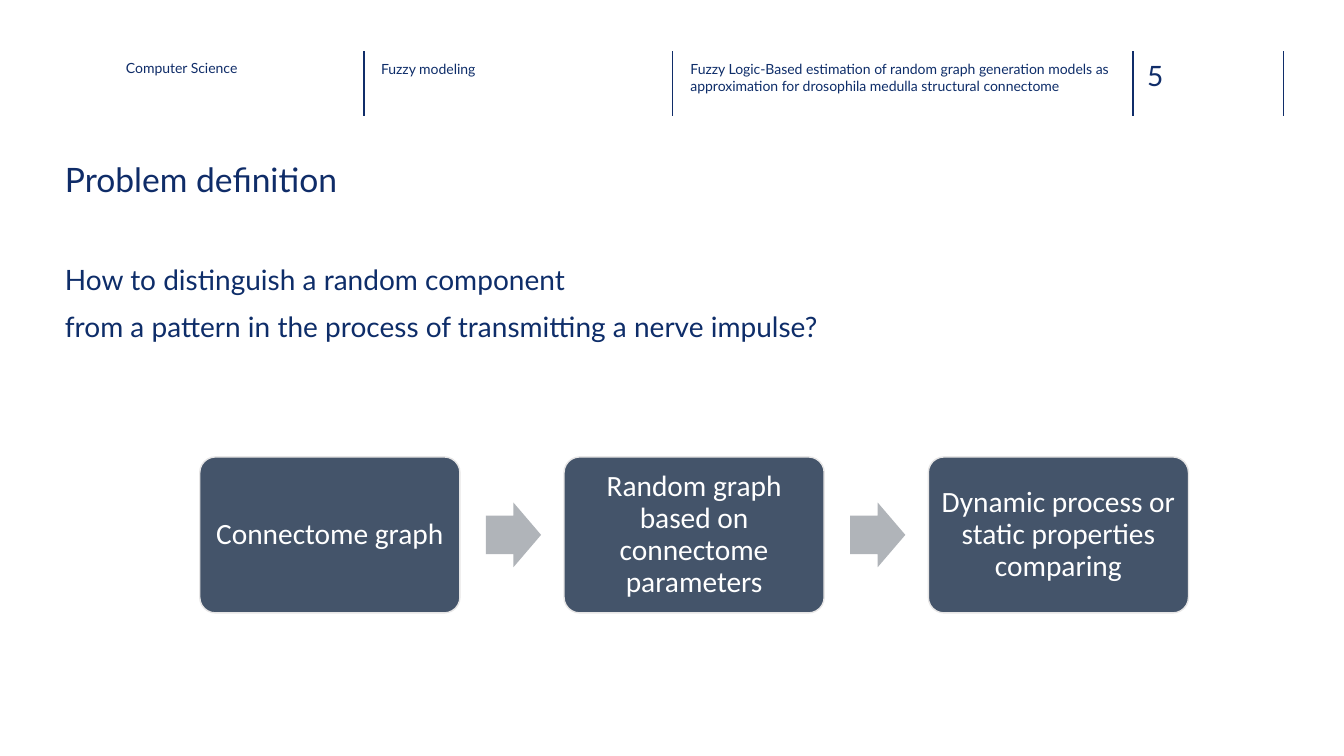
from pptx import Presentation
from pptx.dml.color import RGBColor
from pptx.enum.shapes import MSO_CONNECTOR, MSO_SHAPE
from pptx.enum.text import MSO_ANCHOR, PP_ALIGN
from pptx.oxml.ns import qn
from pptx.util import Pt
from lxml import etree

STRAIGHT = MSO_CONNECTOR.STRAIGHT
ROUNDED = MSO_SHAPE.ROUNDED_RECTANGLE
RIGHT_ARROW = MSO_SHAPE.RIGHT_ARROW
MIDDLE = MSO_ANCHOR.MIDDLE
CENTER = PP_ALIGN.CENTER

COLORS = {
    "rule": "102D69",
    "heading": "0F2C68",
    "body": "0E2D69",
    "step": "44546A",
    "step_edge": "E7E6E6",
    "arrow": "B0B4B9",
    "step_text": "FFFFFF",
}


class SlideBuilder:
    def __init__(self, page):
        self.shapes = page.shapes
        self.text_font = "Lato"
        self.step_font = "Calibri"

    def color(self, name):
        return RGBColor.from_string(COLORS[name])

    def style(self, para, font, size, color):
        para.font.name = font
        para.font.size = Pt(size)
        para.font.color.rgb = self.color(color)

    def margins(self, frame, inset):
        frame.margin_left = frame.margin_right = Pt(inset)
        frame.margin_top = frame.margin_bottom = Pt(inset)
        frame.word_wrap = True

    def rule(self, x, top, bottom):
        line = self.shapes.add_connector(STRAIGHT, Pt(x), Pt(top), Pt(x), Pt(bottom))
        line.line.color.rgb = self.color("rule")
        line.line.width = Pt(1)
        properties = line._element.spPr
        etree.SubElement(properties, qn("a:effectLst"))

    def text(self, lines, left, top, width, height, size, color, space_before=0):
        box = self.shapes.add_textbox(Pt(left), Pt(top), Pt(width), Pt(height))
        frame = box.text_frame
        self.margins(frame, 0)
        frame.text = "\n".join(lines)
        for para in frame.paragraphs:
            para.space_before = Pt(space_before)
            self.style(para, self.text_font, size, color)

    def shape(self, kind, left, top, width, height, fill, adjustments):
        shape = self.shapes.add_shape(kind, Pt(left), Pt(top), Pt(width), Pt(height))
        shape.shadow.inherit = False
        shape.fill.solid()
        shape.fill.fore_color.rgb = self.color(fill)
        shape.line.fill.background()
        for index, value in enumerate(adjustments):
            shape.adjustments[index] = value
        return shape

    def step(self, words, left, top, width, height):
        box = self.shape(ROUNDED, left, top, width, height, "step", [0.1])
        box.line.color.rgb = self.color("step_edge")
        box.line.width = Pt(1)
        frame = box.text_frame
        self.margins(frame, 3.3)
        frame.vertical_anchor = MIDDLE
        frame.text = words
        para = frame.paragraphs[0]
        para.alignment = CENTER
        para.line_spacing = 0.9
        self.style(para, self.step_font, 21, "step_text")

    def arrow(self, left, top, width, height):
        self.shape(RIGHT_ARROW, left, top, width, height, "arrow", [0.6, 0.5])


deck = Presentation()
deck.slide_width, deck.slide_height = Pt(960), Pt(540)
page = deck.slides.add_slide(deck.slide_layouts[6])
builder = SlideBuilder(page)

# Header
for rule_x in (259.9, 480.2, 809.3, 916.6):
    builder.rule(rule_x, 36.7, 82.8)
headers = [
    ("Computer Science", 90, 42.5, 150, "heading"),
    ("Fuzzy modeling", 272.2, 43.2, 163, "body"),
    ("Fuzzy Logic-Based estimation of random graph generation models as "
     "approximation for drosophila medulla structural connectome",
     493.2, 43.2, 307.4, "body"),
]
for words, left, top, width, color in headers:
    builder.text([words], left, top, width, 32.4, 10, color)
builder.text(["5"], 819.4, 41.8, 52.6, 24.5, 20, "rule")

# Title and question
builder.text(["Problem definition"], 46.4, 113.8, 413.3, 61.2, 24, "heading")
question = [
    "How to distinguish a random component",
    "from a pattern in the process of transmitting a nerve impulse?",
]
builder.text(question, 46.4, 187.2, 638.6, 267, 20, "body", space_before=10)

# Process steps, with an arrow centred on each one's middle line
STEP_LEFT, STEP_TOP, STEP_WIDTH, STEP_HEIGHT = 142.7, 326.4, 185.8, 111.4
STEP_PITCH = 260.2
ARROW_WIDTH, ARROW_HEIGHT, ARROW_GAP = 39.4, 46.1, 18.6
steps = [
    "Connectome graph",
    "Random graph based on connectome parameters",
    "Dynamic process or static properties comparing",
]
for index, words in enumerate(steps):
    left = STEP_LEFT + index * STEP_PITCH
    builder.step(words, left, STEP_TOP, STEP_WIDTH, STEP_HEIGHT)
    if index < len(steps) - 1:
        builder.arrow(left + STEP_WIDTH + ARROW_GAP,
                      STEP_TOP + (STEP_HEIGHT - ARROW_HEIGHT) / 2,
                      ARROW_WIDTH, ARROW_HEIGHT)

deck.save("out.pptx")
